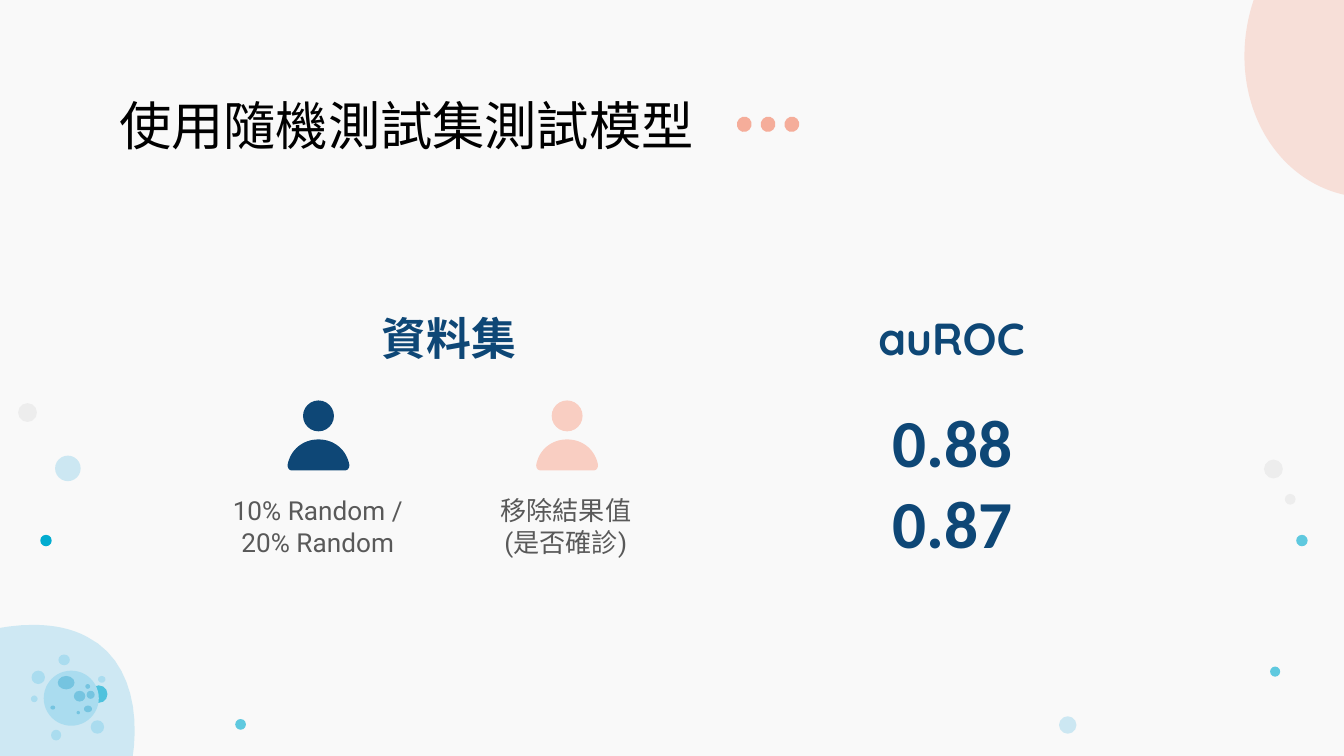
from copy import deepcopy

from lxml.etree import SubElement
from pptx import Presentation
from pptx.dml.color import RGBColor
from pptx.enum.shapes import MSO_SHAPE
from pptx.enum.text import MSO_ANCHOR, PP_ALIGN
from pptx.oxml.ns import qn
from pptx.util import Inches, Pt

CELL = Inches(0.1)
COLUMNS, ROWS = 100, 56.25
CURVE_STEPS = 16
TILT = 105.2

PAPER = RGBColor(0xF9, 0xF9, 0xF9)
BLACK = RGBColor(0x00, 0x00, 0x00)
NAVY = RGBColor(0x0E, 0x47, 0x76)
GREY = RGBColor(0x59, 0x59, 0x59)
MIST = RGBColor(0xED, 0xED, 0xED)
SKY = RGBColor(0xAA, 0xDB, 0xEE)
CELL_BLUE = RGBColor(0xAA, 0xDC, 0xEF)
CRATER_BLUE = RGBColor(0x75, 0xC4, 0xE0)
CYAN = RGBColor(0x02, 0xAC, 0xD0)
CORAL = RGBColor(0xF5, 0xAD, 0x9A)
PEACH = RGBColor(0xF9, 0xCE, 0xC2)

TITLE = {"name": "Quicksand", "size": Pt(28)}
HEADING = {"name": "Quicksand", "size": Pt(24), "bold": True}
SCORE = {"name": "Calibri", "size": Pt(36), "bold": True}
CAPTION = {"name": "Roboto", "size": Pt(14)}

WAVE_START = (2.4, 46.5)
WAVE = [
    ((-2, 46.5), (-6.8, 49.1), (-10.9, 49.4)),
    ((-11.3, 49.4), (-11.6, 49.4), (-12, 49.4)),
    ((-14, 49.4), (-16.2, 49.2), (-18.3, 49.2)),
    ((-21.7, 49.2), (-24.9, 49.8), (-27, 52.9)),
    ((-31.3, 59.5), (-39.4, 59.1), (-39.4, 65.1)),
    ((-39.4, 70.3), (-32.8, 71.8), (-32.8, 81.8)),
    ((6, 81.8),),
    ((11.7, 81.8), (14.5, 80), (14.7, 76.8)),
    ((14.9, 74.1), (13, 71.9), (9.9, 71.4)),
    ((8, 71), (5.3, 70.1), (4.8, 68.2)),
    ((4, 65.4), (7, 63.5), (8.1, 61.5)),
    ((10.8, 56.8), (11, 49.7), (6.5, 47.4)),
    ((5.2, 46.7), (3.8, 46.5), (2.4, 46.5)),
]
SHOULDERS = [
    ((-1.2, 0), (-2.1, 0.8), (-2.3, 1.9)),
    ((-2.3, 2.1), (-2.2, 2.3), (-2, 2.3)),
    ((2, 2.3),),
    ((2.2, 2.3), (2.3, 2.1), (2.3, 1.9)),
    ((2.1, 0.8), (1.2, 0), (0, 0)),
]

BUBBLES = [
    (SKY, 57, [(4.1, 33.9, 1.9), (78.8, 53.3, 1.3)]),
    (CYAN, 62, [(6.7, 51, 1.3), (17.5, 53.5, 0.8), (94.5, 49.6, 0.75),
                (96.45, 39.8, 0.85)]),
    (CYAN, 100, [(3, 39.8, 0.85)]),
    (MIST, 100, [(95.6, 36.75, 0.8), (1.35, 30, 1.4), (94.05, 34.2, 1.4)]),
]
VIRUS = [
    (CELL_BLUE, [(4.35, 48.7, 0.85, 0.8), (3.8, 54.3, 0.75, 0.8),
                 (2.35, 49.9, 1, 1), (6.75, 53.6, 1, 1),
                 (7.3, 50.3, 0.55, 0.5), (2.3, 51.75, 0.5, 0.5),
                 (3.25, 49.9, 4.1, 4.1)]),
    (CRATER_BLUE, [(6.45, 51.4, 0.6, 0.6), (6.35, 50.9, 0.35, 0.35),
                   (5.5, 51.4, 0.85, 0.8), (4.3, 50.3, 1.25, 1),
                   (6.25, 52.5, 0.6, 0.5), (3.75, 52.5, 0.35, 0.3),
                   (5.7, 52.9, 0.25, 0.25)]),
]


def bezier(start, control_one, control_two, end):
    for step in range(1, CURVE_STEPS + 1):
        t = step / CURVE_STEPS
        weights = ((1 - t) ** 3, 3 * t * (1 - t) ** 2, 3 * t * t * (1 - t), t ** 3)
        corners = (start, control_one, control_two, end)
        yield tuple(sum(w * c[axis] for w, c in zip(weights, corners)) for axis in (0, 1))


class SlideBuilder:
    def __init__(self, presentation):
        self.slide = presentation.slides.add_slide(presentation.slide_layouts[6])
        background = self.slide.background.fill
        background.solid()
        background.fore_color.rgb = PAPER

    def grid(self, *cells):
        return [round(cell * CELL) for cell in cells]

    def paint(self, shape, color, opacity):
        shape.shadow.inherit = False
        shape.fill.solid()
        shape.fill.fore_color.rgb = color
        shape.line.fill.background()
        if opacity < 100:
            rgb = shape.fill._xPr.find(qn("a:solidFill"))[0]
            SubElement(rgb, qn("a:alpha"), val=str(opacity * 1000))

    def oval(self, color, column, row, width, height, opacity=100, rotation=0):
        shape = self.slide.shapes.add_shape(
            MSO_SHAPE.OVAL, *self.grid(column, row, width, height))
        shape.rotation = rotation
        self.paint(shape, color, opacity)

    def outline(self, color, start, segments, opacity=100, offset=(0, 0)):
        points = [start]
        for segment in segments:
            if len(segment) == 1:
                points.append(segment[0])
            else:
                points.extend(bezier(points[-1], *segment))
        placed = [self.grid(x + offset[0], y + offset[1]) for x, y in points]
        builder = self.slide.shapes.build_freeform(*placed[0])
        builder.add_line_segments(placed[1:], close=True)
        self.paint(builder.convert_to_shape(), color, opacity)

    def person(self, color, center):
        self.oval(color, center - 1.15, 29.8, 2.3, 2.3)
        self.outline(color, (0, 0), SHOULDERS, offset=(center, 32.7))

    def text(self, words, box, style, color, align=PP_ALIGN.CENTER, anchor=MSO_ANCHOR.TOP):
        frame = self.slide.shapes.add_textbox(*self.grid(*box)).text_frame
        margins = dict.fromkeys(
            ("margin_left", "margin_top", "margin_right", "margin_bottom"), CELL)
        for name, value in {"word_wrap": True, "vertical_anchor": anchor, **margins}.items():
            setattr(frame, name, value)
        paragraph = frame.paragraphs[0]
        paragraph.text = words
        paragraph.alignment = align
        for run in paragraph.runs:
            for name, value in style.items():
                setattr(run.font, name, value)
            run.font.color.rgb = color
        for line_break in paragraph._p.findall(qn("a:br")):
            line_break.append(deepcopy(paragraph.runs[0]._r.rPr))


def main():
    presentation = Presentation()
    presentation.slide_width = round(COLUMNS * CELL)
    presentation.slide_height = round(ROWS * CELL)
    builder = SlideBuilder(presentation)

    builder.outline(SKY, WAVE_START, WAVE, opacity=54)
    builder.oval(CORAL, 91.2, -6.6, 22.9, 19.9, opacity=34, rotation=TILT)
    for color, opacity, bubbles in BUBBLES:
        for column, row, size in bubbles:
            builder.oval(color, column, row, size, size, opacity)
    for color, spots in VIRUS:
        for spot in spots:
            builder.oval(color, *spot)

    builder.text("使用隨機測試集測試模型", (7.9, 5.9, 84.3, 5.2), TITLE, BLACK, PP_ALIGN.LEFT)
    for index in range(3):
        builder.oval(CORAL, 54.8 + 1.77 * index, 8.7, 1.15, 1.1, rotation=TILT)

    middle = MSO_ANCHOR.MIDDLE
    builder.text("0.88\n0.87", (62.3, 28.9, 17.1, 13.8), SCORE, NAVY, anchor=middle)
    builder.text("auROC", (58, 23.8, 25.6, 2.7), HEADING, NAVY, anchor=middle)
    builder.text("資料集", (19.7, 23.8, 27.4, 2.7), HEADING, NAVY, anchor=middle)
    builder.text("10% Random /\n20% Random", (15.8, 35.8, 15.7, 6.7), CAPTION, GREY)
    builder.text("移除結果值\n(是否確診)", (30.9, 35.8, 22.4, 6.7), CAPTION, GREY)
    builder.person(NAVY, 23.7)
    builder.person(PEACH, 42.2)

    presentation.save("out.pptx")


if __name__ == "__main__":
    main()
